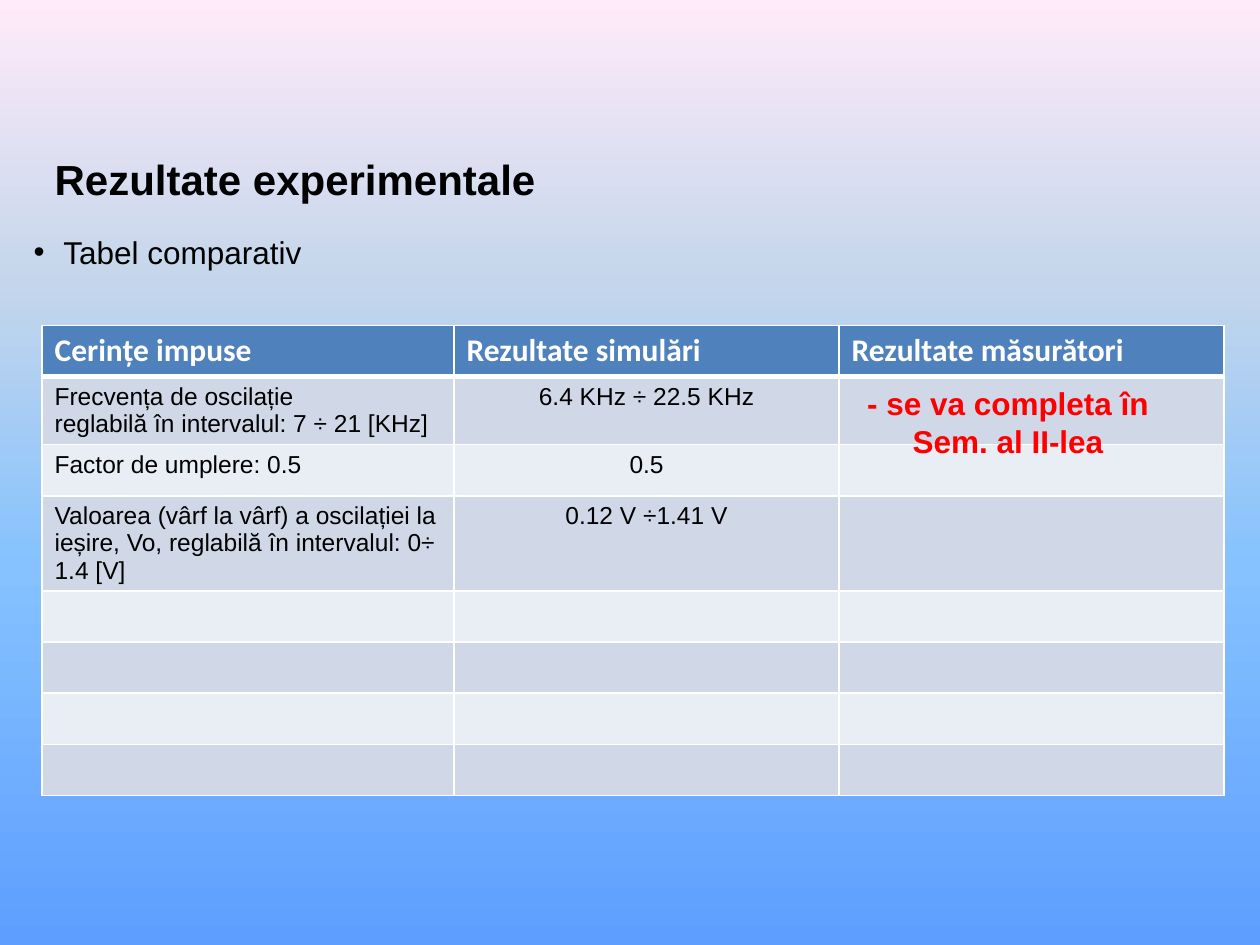
from lxml import etree
from pptx import Presentation
from pptx.dml.color import RGBColor
from pptx.enum import text
from pptx.oxml.ns import qn
from pptx.util import Pt

LEFT, CENTER = text.PP_ALIGN.LEFT, text.PP_ALIGN.CENTER
STOPS = [(0, "5E9EFF"), (40, "85C2FF"), (70, "C4D6EB"), (100, "FFEBFA")]
COLUMNS = [235.5, 220, 220]
HEIGHTS = [29.2, 38.9, 29.2, 54.4] + [29.2] * 4
ROWS = [
    ["Cerințe impuse", "Rezultate simulări", "Rezultate măsurători"],
    ["Frecvența de oscilație\nreglabilă în intervalul: 7 ÷ 21 [KHz]", "6.4 KHz ÷ 22.5 KHz"],
    ["Factor de umplere: 0.5", "0.5"],
    ["Valoarea (vârf la vârf) a oscilației la ieșire, Vo, reglabilă în intervalul: 0÷ 1.4 [V]",
     "0.12 V ÷1.41 V"],
]


def rgb(value):
    """Turn a hex string into a colour."""
    return RGBColor.from_string(value)


def write(tf, content, size=18, font="Arial", color="000000", bold=False, align=LEFT):
    """Fill a text frame with formatted paragraphs, one per line."""
    tf.text = content
    for p in tf.paragraphs:
        p.alignment = align
        p.space_before = Pt(0)
        for r in p.runs:
            r.font.size, r.font.name, r.font.bold = Pt(size), font, bold
            r.font.color.rgb = rgb(color)


def place(sp, box):
    """Move a shape into a box of points."""
    sp.left, sp.top, sp.width, sp.height = map(Pt, box)


def background(s):
    """Give the slide a vertical gradient."""
    fill = s.background.fill
    fill.gradient()
    fill.gradient_angle = 90
    stops = next(s.element.iter(qn("a:gsLst")))
    for stop in list(stops):
        stops.remove(stop)
    for position, color in STOPS:
        gs = etree.SubElement(stops, qn("a:gs"), pos=str(position * 1000))
        etree.SubElement(gs, qn("a:srgbClr"), val=color)


def title(s, box):
    """Set the title placeholder."""
    sp = s.shapes.title
    place(sp, box)
    write(sp.text_frame, "Rezultate experimentale", size=24, bold=True)
    sp.text_frame.auto_size = text.MSO_AUTO_SIZE.NONE
    sp.text_frame.vertical_anchor = text.MSO_ANCHOR.MIDDLE


def bullet(s, box):
    """Set the bulleted line in the body placeholder."""
    sp = s.placeholders[1]
    place(sp, box)
    tf = sp.text_frame
    write(tf, "Tabel comparativ", align=text.PP_ALIGN.JUSTIFY)
    tf.auto_size = text.MSO_AUTO_SIZE.NONE
    tf.vertical_anchor = text.MSO_ANCHOR.MIDDLE
    pPr = tf.paragraphs[0]._p.get_or_add_pPr()
    pPr.set("marL", str(Pt(17)))
    pPr.set("indent", str(-Pt(17)))


def borders(cell, top, bottom):
    """Draw white cell borders with the given top and bottom widths."""
    tcPr = cell._tc.get_or_add_tcPr()
    for side, width in zip("LRTB", (1, 1, top, bottom)):
        ln = etree.SubElement(tcPr, qn(f"a:ln{side}"), w=str(Pt(width)))
        fill = etree.SubElement(ln, qn("a:solidFill"))
        etree.SubElement(fill, qn("a:srgbClr"), val="FFFFFF")


def results(s, box):
    """Build the comparison table."""
    table = s.shapes.add_table(len(HEIGHTS), len(COLUMNS), *map(Pt, box)).table
    for column, width in zip(table.columns, COLUMNS):
        column.width = Pt(width)
    for i, height in enumerate(HEIGHTS):
        table.rows[i].height = Pt(height)
        color = "4F81BD" if i == 0 else ("E9EDF4", "D0D8E8")[i % 2]
        for cell in table.rows[i].cells:
            borders(cell, 3 if i == 1 else 1, 3 if i == 0 else 1)
            cell.fill.solid()
            cell.fill.fore_color.rgb = rgb(color)
    for i, row in enumerate(ROWS):
        for j, content in enumerate(row):
            tf = table.cell(i, j).text_frame
            if i == 0:
                write(tf, content, font="Calibri", color="FFFFFF", bold=True)
            else:
                write(tf, content, size=14, align=CENTER if j else LEFT)


def note(s, box):
    """Add the red remark over the measurements column."""
    tf = s.shapes.add_textbox(*map(Pt, box)).text_frame
    tf.word_wrap = True
    write(tf, "- se va completa în Sem. al II-lea", color="FF0000", bold=True, align=CENTER)


def main():
    """Build and save the slide."""
    prs = Presentation()
    prs.slide_width, prs.slide_height = Pt(720), Pt(540)
    s = prs.slides.add_slide(prs.slide_layouts[1])
    background(s)
    title(s, (24, 84, 612, 36))
    bullet(s, (12, 126, 672, 36))
    results(s, (24, 186, sum(COLUMNS), sum(HEIGHTS)))
    note(s, (468, 216, 216, 51))
    prs.save("out.pptx")


if __name__ == "__main__":
    main()
